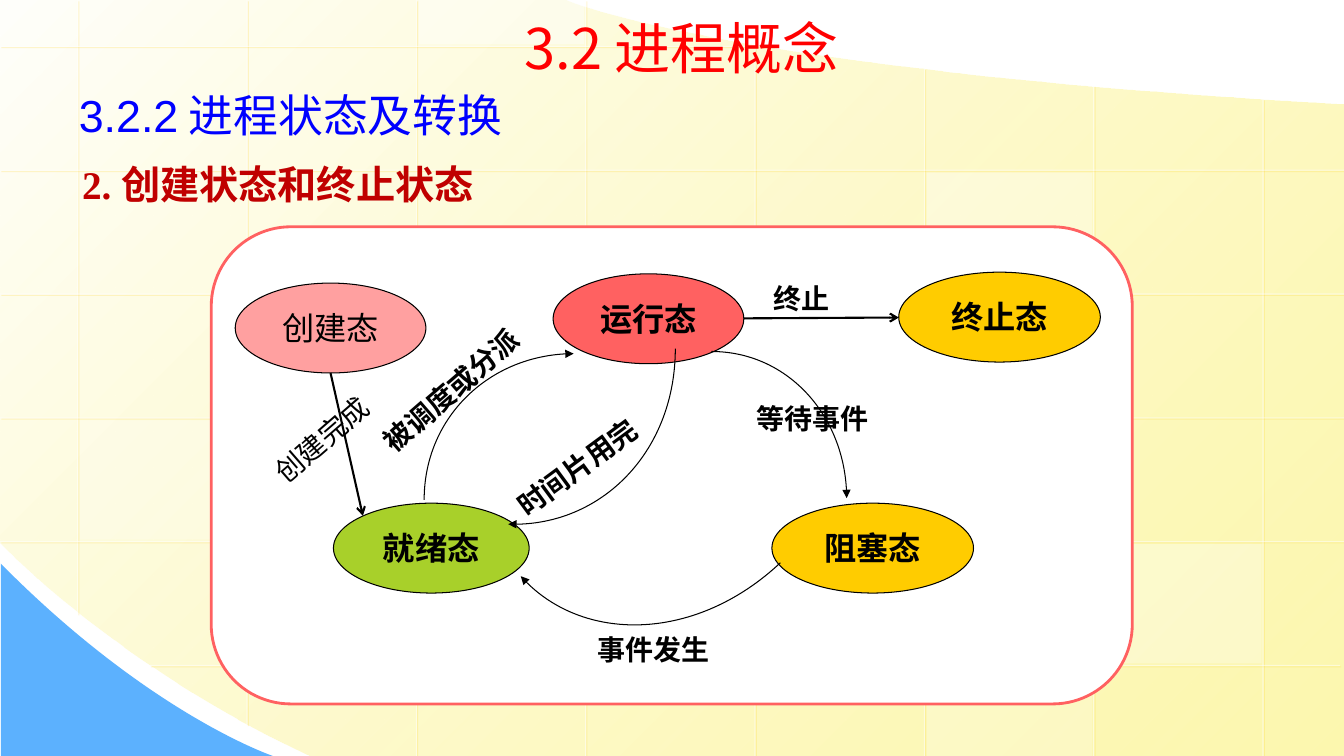
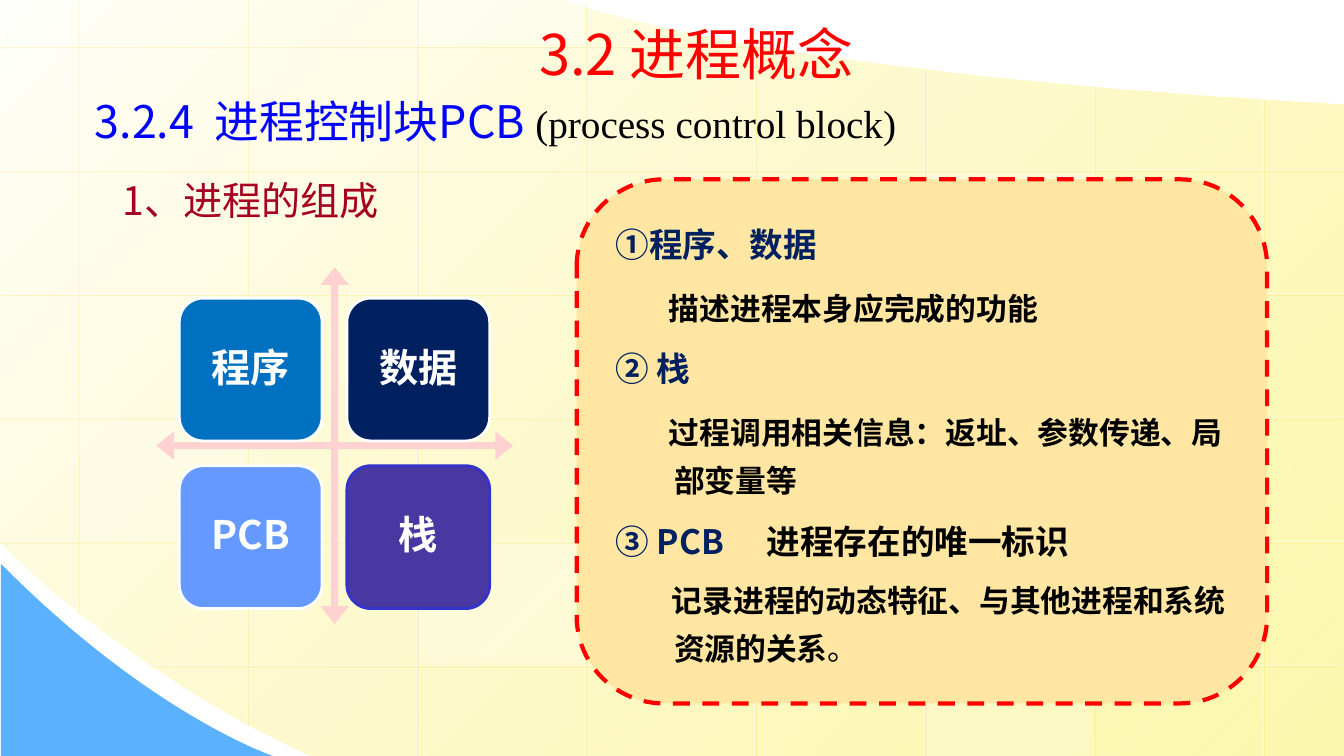
from lxml import etree
from pptx import Presentation
from pptx.dml.color import RGBColor
from pptx.enum.dml import MSO_LINE
from pptx.enum.shapes import MSO_CONNECTOR, MSO_SHAPE
from pptx.enum.text import MSO_ANCHOR, PP_ALIGN
from pptx.oxml.ns import qn
from pptx.util import Emu, Inches, Pt

COLUMNS, ROWS, CELL = 160, 90, 76200
RECT, ROUND, OVAL = MSO_SHAPE.RECTANGLE, MSO_SHAPE.ROUNDED_RECTANGLE, MSO_SHAPE.OVAL
QUAD_ARROW, STRAIGHT = MSO_SHAPE.QUAD_ARROW, MSO_CONNECTOR.STRAIGHT
TOP, MIDDLE = MSO_ANCHOR.TOP, MSO_ANCHOR.MIDDLE
LEFT, CENTER, DASH = PP_ALIGN.LEFT, PP_ALIGN.CENTER, MSO_LINE.DASH
SANS, SERIF, ARIAL = "Noto Sans CJK SC", "Times New Roman", "Arial"
BLACK, WHITE, RED, BLUE, NAVY = "000000", "FFFFFF", "FF0000", "0000FF", "002060"

TITLE = dict(size=40, name=SANS, color=RED)
SECTION = dict(size=32, name=SANS, color=BLUE)
STATE = dict(size=23, name=SERIF, color=BLACK, bold=True)
LABEL = dict(size=20, name=SERIF, color=BLACK, bold=True)
TILE = dict(size=28, name=SANS, color=WHITE, bold=True)
POINT = dict(size=24, name=SANS, color=NAVY, bold=True)
DETAIL = dict(size=22, name=SERIF, color=BLACK, bold=True)

GRID_LEFT, GRID_TOP, GRID_WIDTH, GRID_HEIGHT = 9.24, 5.52, 20.16, 14.74
UPRIGHTS = [(0, 73.1), (0, 86.3), (0, 90), (0, 90), (5.2, 90), (8.2, 90), (10.2, 90), (11.8, 90)]
LEVELS = [(0, 90.8), (0, 160), (0, 160), (0, 160), (0, 160), (17.8, 159.5)]
PATCHES = [(0, 3, 20), (5, 5, 20), (2, -1, 40), (5, 1, 30)]


def rgb(hex_string):
    return RGBColor.from_string(hex_string)


def emu(cells):
    return Emu(round(cells * CELL))


def child(parent, tag, **attributes):
    return etree.SubElement(parent, qn(tag), {key: str(value) for key, value in attributes.items()})


def set_opacity(shape, percent):
    color = shape.element.findall(".//" + qn("a:srgbClr"))[-1]
    child(color, "a:alpha", val=percent * 1000)


def add_arrowhead(shape, kind):
    child(shape.element.find(".//" + qn("a:ln")), "a:tailEnd", type=kind)


def bend(shape, segments):
    corners = iter(shape.element.findall(".//" + qn("a:lnTo")))
    for segment in segments:
        pieces = [next(corners) for _ in segment]
        if len(pieces) == 3:
            curve = etree.Element(qn("a:cubicBezTo"))
            pieces[0].addprevious(curve)
            for piece in pieces:
                curve.append(piece[0])
                piece.getparent().remove(piece)


class Deck:
    """Holds the shared style and the slide being drawn."""

    def __init__(self):
        self.presentation = Presentation()
        self.presentation.slide_width = emu(COLUMNS)
        self.presentation.slide_height = emu(ROWS)
        self.slide = None

    def new_slide(self, title, title_left, title_middle, extra_patch):
        self.slide = self.presentation.slides.add_slide(self.presentation.slide_layouts[6])
        self.backdrop(extra_patch)
        self.heading(title_left, title_middle, 45, [(title, TITLE)])

    def backdrop(self, extra_patch):
        sheet = self.outline((160, 12.5), [
            [(160, 90)], [(36.8, 90)], [(13.8, 79.3), (0, 64.7), (0, 64.7)],
            [(0, 0)], [(67.3, 0)], [(67.3, 0.1), (85.8, 8.3), (160, 12.5)]], closed=True)
        sheet.fill.gradient()
        sheet.fill.gradient_angle = 315
        for stop, color, position in zip(sheet.fill.gradient_stops, ("FFFFFB", "FDF58D"), (0, 1)):
            stop.color.rgb = rgb(color)
            stop.position = position
        set_opacity(sheet, 70)
        sheet.line.fill.background()
        hill = self.outline((0.1, 67.1), [
            [(0.1, 90)], [(32.5, 90)], [(32.5, 90), (17.9, 85.1), (0.1, 67.1)]], closed=True)
        self.paint(hill, "5CB1FE")
        for index, (top, bottom) in enumerate(UPRIGHTS):
            x = GRID_LEFT + index * GRID_WIDTH
            self.grid_line((x, top), (x, bottom))
        for index, (left, right) in enumerate(LEVELS):
            y = GRID_TOP + index * GRID_HEIGHT
            self.grid_line((right, y), (left, y))
        for column, row, percent in PATCHES + [extra_patch]:
            top = max(0, GRID_TOP + row * GRID_HEIGHT + 0.3)
            bottom = min(ROWS, GRID_TOP + (row + 1) * GRID_HEIGHT - 0.25)
            left = GRID_LEFT + column * GRID_WIDTH + 0.3
            patch = self.shape(RECT, (left, top, 19.7, bottom - top), WHITE)
            set_opacity(patch, percent)

    def paint(self, shape, fill=None, line=None, width=0.75):
        shape.shadow.inherit = False
        if fill:
            shape.fill.solid()
            shape.fill.fore_color.rgb = rgb(fill)
        else:
            shape.fill.background()
        if line:
            shape.line.color.rgb = rgb(line)
            shape.line.width = Pt(width)
        else:
            shape.line.fill.background()

    def outline(self, start, segments, closed):
        corners = [(emu(x), emu(y)) for segment in segments for x, y in segment]
        builder = self.slide.shapes.build_freeform(*map(emu, start), scale=1.0)
        builder.add_line_segments(corners, close=closed)
        shape = builder.convert_to_shape()
        bend(shape, segments)
        shape.shadow.inherit = False
        return shape

    def shape(self, kind, box, fill=None, line=None, width=0.75):
        shape = self.slide.shapes.add_shape(kind, *map(emu, box))
        self.paint(shape, fill, line, width)
        return shape

    def line(self, start, end, color, width):
        connector = self.slide.shapes.add_connector(STRAIGHT, *map(emu, start + end))
        connector.line.color.rgb = rgb(color)
        connector.line.width = Pt(width)
        return connector, child(connector.element.spPr, "a:effectLst")

    def grid_line(self, start, end):
        connector, effects = self.line(start, end, WHITE, 0.75)
        set_opacity(connector, 50)
        shadow = child(effects, "a:outerShdw", dist=17780, dir=2700000, algn="ctr", rotWithShape=0)
        child(child(shadow, "a:srgbClr", val="FFCC00"), "a:alpha", val=34000)

    def arrow(self, start, end):
        connector, _ = self.line(start, end, BLACK, 1.5)
        add_arrowhead(connector, "arrow")

    def curved_arrow(self, start, *corners):
        curve = self.outline(start, [corners], closed=False)
        self.paint(curve, None, BLACK)
        add_arrowhead(curve, "triangle")

    def frame(self, shape, anchor=MIDDLE, wrap=True, inset=(0.1, 0.05)):
        frame = shape.text_frame
        across, down = map(Inches, inset)
        settings = dict(vertical_anchor=anchor, word_wrap=wrap, margin_left=across,
                        margin_right=across, margin_top=down, margin_bottom=down)
        for key, value in settings.items():
            setattr(frame, key, value)
        return frame

    def paragraph(self, paragraph, runs, tab=None, margin=0, indent=0, **settings):
        properties = paragraph._p.get_or_add_pPr()
        properties.set("marL", str(Inches(margin)))
        properties.set("indent", str(Inches(indent)))
        if tab:
            child(child(properties, "a:tabLst"), "a:tab", pos=Inches(tab), algn="l")
        for key, value in settings.items():
            setattr(paragraph, key, value)
        for text, style in runs:
            run = paragraph.add_run()
            run.text = text
            for key, value in style.items():
                if key == "color":
                    run.font.color.rgb = rgb(value)
                else:
                    setattr(run.font, key, Pt(value) if key == "size" else value)
            child(run._r.get_or_add_rPr(), "a:ea", typeface=SANS)

    def text_box(self, box):
        return self.slide.shapes.add_textbox(*map(emu, box))

    def heading(self, left, middle, width, runs):
        frame = self.frame(self.text_box((left, middle - 4, width, 8)))
        self.paragraph(frame.paragraphs[0], runs, alignment=LEFT)

    def label(self, text, center, angle=0, **changes):
        x, y = center
        box = self.text_box((x - 14, y - 3, 28, 6))
        box.rotation = angle
        frame = self.frame(box, wrap=False, inset=(0.07, 0.03))
        self.paragraph(frame.paragraphs[0], [(text, LABEL | changes)], alignment=CENTER)

    def state(self, text, box, fill, **changes):
        oval = self.shape(OVAL, box, fill, BLACK)
        frame = self.frame(oval, wrap=False, inset=(0.07, 0.03))
        self.paragraph(frame.paragraphs[0], [(text, STATE | changes)], alignment=CENTER)

    def tile(self, text, box, fill, line):
        frame = self.frame(self.shape(ROUND, box, fill, line, 2), inset=(0.12, 0.12))
        self.paragraph(frame.paragraphs[0], [(text, TILE)], alignment=CENTER, line_spacing=0.9)

    def points(self, box, entries):
        frame = self.frame(self.text_box(box), anchor=TOP)
        for index, (runs, gap, layout) in enumerate(entries):
            paragraph = frame.add_paragraph() if index else frame.paragraphs[0]
            self.paragraph(paragraph, runs, alignment=LEFT, line_spacing=Pt(34.3),
                           space_before=Pt(gap), **layout)


def draw_states(deck):
    deck.new_slide("3.2 进程概念", 61.3, 5.6, (6, 4, 30))
    deck.heading(8.2, 13.7, 70, [("3.2.2", SECTION | dict(name=ARIAL)), (" 进程状态及转换", SECTION)])
    topic = dict(size=28, name=SERIF, color="C00000", bold=True)
    deck.heading(8.6, 21.9, 72, [("2. 创建状态和终止状态", topic)])
    deck.shape(ROUND, (25.15, 27, 109.65, 56.8), WHITE, "FF6161", 2)

    deck.state("运行态", (65.85, 32.6, 22.7, 10.7), "FF6161")
    deck.state("就绪态", (39.7, 59.9, 23.3, 10.7), "A8D02A")
    deck.state("阻塞态", (91.9, 59.9, 24, 10.7), "FFCC00")
    deck.state("创建态", (28, 33.7, 22.7, 10.7), "FFA0A0", bold=False)
    deck.state("终止态", (107, 32.4, 24, 10.7), "FFCC00")

    deck.curved_arrow((84.7, 41.85), (93.6, 41.85), (100.8, 49.7), (100.8, 59.3))
    deck.curved_arrow((50.5, 59.5), (50.5, 49.9), (58.4, 42.1), (68.3, 42.1))
    deck.curved_arrow((80.4, 41.5), (80.4, 53.5), (71.5, 62.8), (60.5, 62.4))
    deck.curved_arrow((92.9, 67), (83, 76.3), (69.1, 76.6), (62, 68.6))
    deck.arrow((39.35, 44.4), (43.2, 61.4))
    deck.arrow((88.55, 37.9), (107, 37.8))

    deck.label("等待事件", (96.7, 49.8))
    deck.label("被调度或分派", (53.7, 46.4), 319)
    deck.label("时间片用完", (68.7, 55.6), 323.5)
    deck.label("事件发生", (77.85, 77.3))
    deck.label("创建完成", (38.3, 52.3), 319, bold=False)
    deck.label("终止", (95.4, 35.5))


def draw_control_block(deck):
    deck.new_slide("3.2 进程概念", 63, 6.3, (2, 4, 30))
    gloss = dict(size=28, name=SERIF, color=BLACK)
    deck.heading(10.1, 14.35, 106, [("3.2.4  进程控制块PCB ", SECTION),
                                    ("(process control block)", gloss)])
    deck.heading(13.4, 23.8, 38, [("1、进程的组成", dict(size=28, name=SANS, color="A50021"))])

    cross = deck.shape(QUAD_ARROW, (18.6, 31.8, 42.5, 42.5), "FFD2D2")
    for index, share in enumerate((0.02, 0.04, 0.05)):
        cross.adjustments[index] = share
    tiles = [("程序", "0070C0", WHITE), ("数据", NAVY, WHITE),
             ("PCB", "6699FF", WHITE), ("栈", "4A38A2", "3333CC")]
    side, pitch = 17, 19.95
    for index, (part, fill, line) in enumerate(tiles):
        row, column = divmod(index, 2)
        deck.tile(part, (21.35 + column * pitch, 35.5 + row * pitch, side, side), fill, line)

    panel = deck.shape(ROUND, (68.65, 21.35, 82.2, 62.4), "FFE7A3", RED, 3)
    panel.line.dash_style = DASH
    hanging = dict(margin=0.58, indent=-0.05)
    deck.points((72.1, 25.1, 77.6, 56), [
        ([("①程序、数据", POINT)], 0, {}),
        ([("描述进程本身应完成的功能", DETAIL)], 10.5, hanging),
        ([("② 栈", POINT)], 10, {}),
        ([("过程调用相关信息：返址、参数传递、局部变量等", DETAIL)], 10, hanging),
        ([("③ PCB\t", POINT), ("进程存在的唯一标识", DETAIL | dict(size=24))], 10.5, dict(tab=1.42)),
        ([("记录进程的动态特征、与其他进程和系统资源的关系", DETAIL),
          ("。", DETAIL | dict(bold=False))], 7, dict(margin=0.58, indent=-0.02)),
    ])


def main():
    deck = Deck()
    draw_states(deck)
    draw_control_block(deck)
    deck.presentation.save("out.pptx")


if __name__ == "__main__":
    main()
